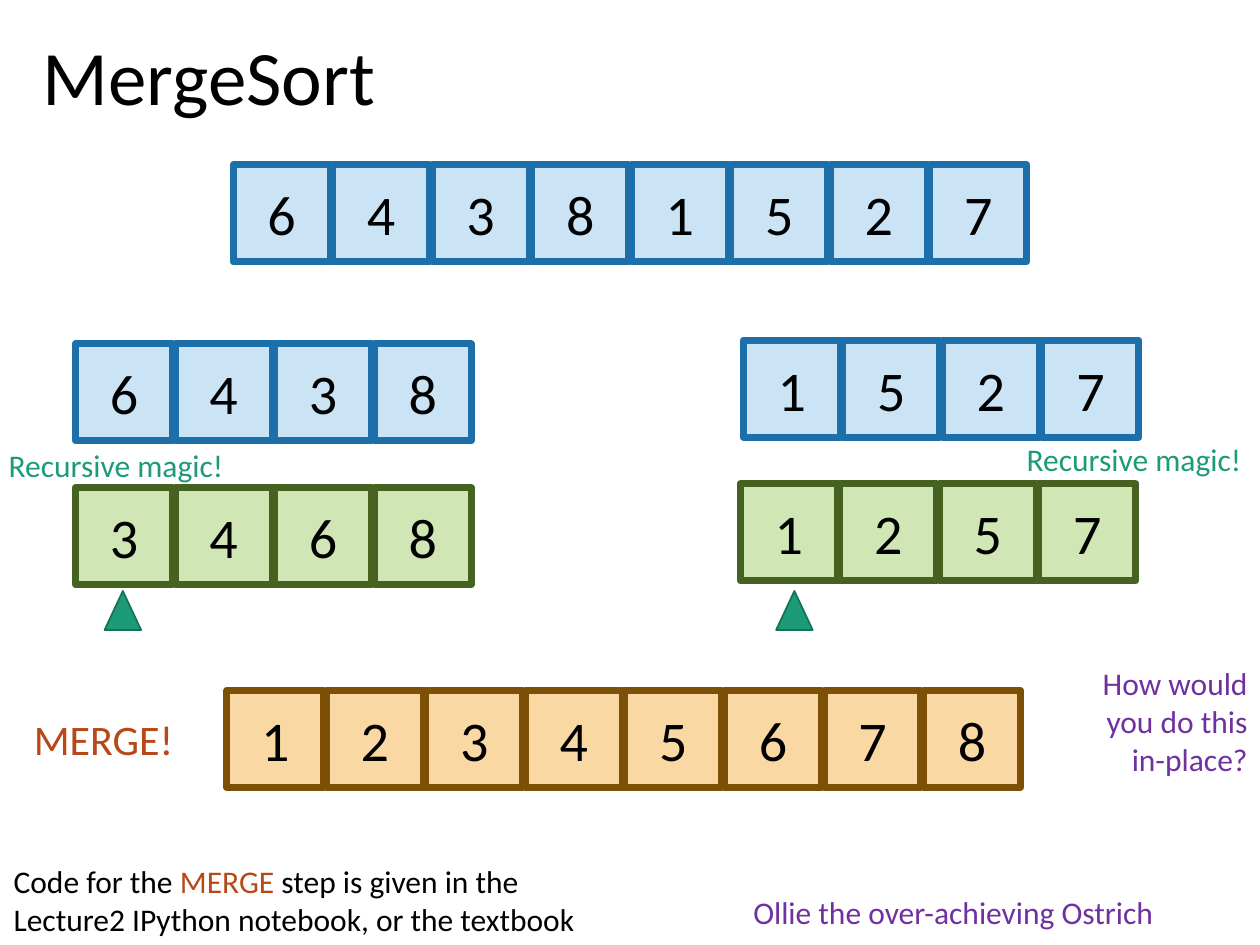
from dataclasses import dataclass

from pptx import Presentation
from pptx.dml.color import RGBColor
from pptx.enum.shapes import MSO_SHAPE
from pptx.enum.text import MSO_ANCHOR, PP_ALIGN
from pptx.util import Emu, Inches, Pt

COLORS = {
    "black": "000000", "rust": "B74919", "purple": "7030A0",
    "teal": "1D9A78", "teal_edge": "157259",
    "blue": "CAE4F6", "blue_edge": "1D6FA9",
    "green": "D1E6B5", "green_edge": "466221",
    "orange": "F9D8A3", "orange_edge": "7D5008",
}
WIDTH, HEIGHT = Inches(10), Inches(7.5)
COLS, ROWS = 100, 75
CELL, PITCH = 7.7, 7.9


@dataclass(frozen=True)
class Array:
    digits: str
    col: float
    row: float
    color: str


@dataclass(frozen=True)
class Label:
    runs: tuple[tuple[str, str], ...]
    box: tuple[float, float, float, float]
    size: int = 18
    align: PP_ALIGN = PP_ALIGN.LEFT
    wrap: bool = True


ARRAYS = [
    Array("64381527", 18.5, 13.1, "blue"),
    Array("6438", 6, 27.3, "blue"),
    Array("1527", 59, 27, "blue"),
    Array("3468", 6, 38.7, "green"),
    Array("1257", 58.75, 38.4, "green"),
    Array("12345678", 18, 54.8, "orange"),
]
POINTERS = [(8.3, 46.9), (61.6, 46.9)]
MAGIC = (("Recursive magic!", "teal"),)
LABELS = [
    Label(MAGIC, (80.5, 34.4, 19.2, 4), wrap=False),
    Label(MAGIC, (-0.3, 34.9, 19.2, 4), wrap=False),
    Label((("Code for the ", "black"), ("MERGE", "rust"),
           (" step is given in the Lecture2 IPython notebook, or the textbook", "black")),
          (0.1, 67.9, 49.8, 7.1)),
    Label((("MERGE!", "rust"),), (1.7, 56.1, 15.2, 5), size=24),
    Label((("How would you do this in-place?", "purple"),), (85.1, 52.2, 14.9, 10.1),
          align=PP_ALIGN.RIGHT),
    Label((("Ollie the over-achieving Ostrich", "purple"),), (58.8, 70.4, 37.9, 4)),
]


def grid(col: float, row: float, cols: float, rows: float) -> list[Emu]:
    """Turn grid columns and rows into left, top, width and height."""
    x, y = WIDTH / COLS, HEIGHT / ROWS
    return [Emu(round(v)) for v in (col * x, row * y, cols * x, rows * y)]


def add_run(p, text: str, size: int, color: str = "black") -> None:
    r = p.add_run()
    r.text = text
    for name, value in {"name": "Calibri", "size": Pt(size)}.items():
        setattr(r.font, name, value)
    r.font.color.rgb = RGBColor.from_string(COLORS[color])


def add_filled(s, kind: MSO_SHAPE, box: tuple, color: str, line: int):
    sp = s.shapes.add_shape(kind, *grid(*box))
    sp.shadow.inherit = False
    sp.fill.solid()
    sp.fill.fore_color.rgb = RGBColor.from_string(COLORS[color])
    sp.line.color.rgb = RGBColor.from_string(COLORS[f"{color}_edge"])
    sp.line.width = Pt(line)
    return sp


def add_array(s, array: Array) -> None:
    for i, digit in enumerate(array.digits):
        box = (array.col + i * PITCH, array.row, CELL, CELL)
        sp = add_filled(s, MSO_SHAPE.RECTANGLE, box, array.color, 4)
        sp.text_frame.vertical_anchor = MSO_ANCHOR.MIDDLE
        p = sp.text_frame.paragraphs[0]
        p.alignment = PP_ALIGN.CENTER
        add_run(p, digit, 32)


def add_label(s, label: Label) -> None:
    tf = s.shapes.add_textbox(*grid(*label.box)).text_frame
    tf.word_wrap = label.wrap
    p = tf.paragraphs[0]
    p.alignment = label.align
    for text, color in label.runs:
        add_run(p, text, label.size, color)


def add_title(s, text: str) -> None:
    sp = s.shapes.title
    sp.left, sp.top, sp.width, sp.height = grid(2.4, 2.4, 86.2, 8)
    sp.text_frame.vertical_anchor = MSO_ANCHOR.MIDDLE
    p = sp.text_frame.paragraphs[0]
    for name, value in {"alignment": PP_ALIGN.LEFT, "line_spacing": 0.9}.items():
        setattr(p, name, value)
    add_run(p, text, 44)


def main() -> None:
    prs = Presentation()
    prs.slide_width, prs.slide_height = WIDTH, HEIGHT
    s = prs.slides.add_slide(prs.slide_layouts.get_by_name("Title Only"))
    add_title(s, "MergeSort")
    for array in ARRAYS:
        add_array(s, array)
    for col, row in POINTERS:
        add_filled(s, MSO_SHAPE.ISOSCELES_TRIANGLE, (col, row, 2.9, 3.1), "teal", 1)
    for label in LABELS:
        add_label(s, label)
    prs.save("out.pptx")


if __name__ == "__main__":
    main()
